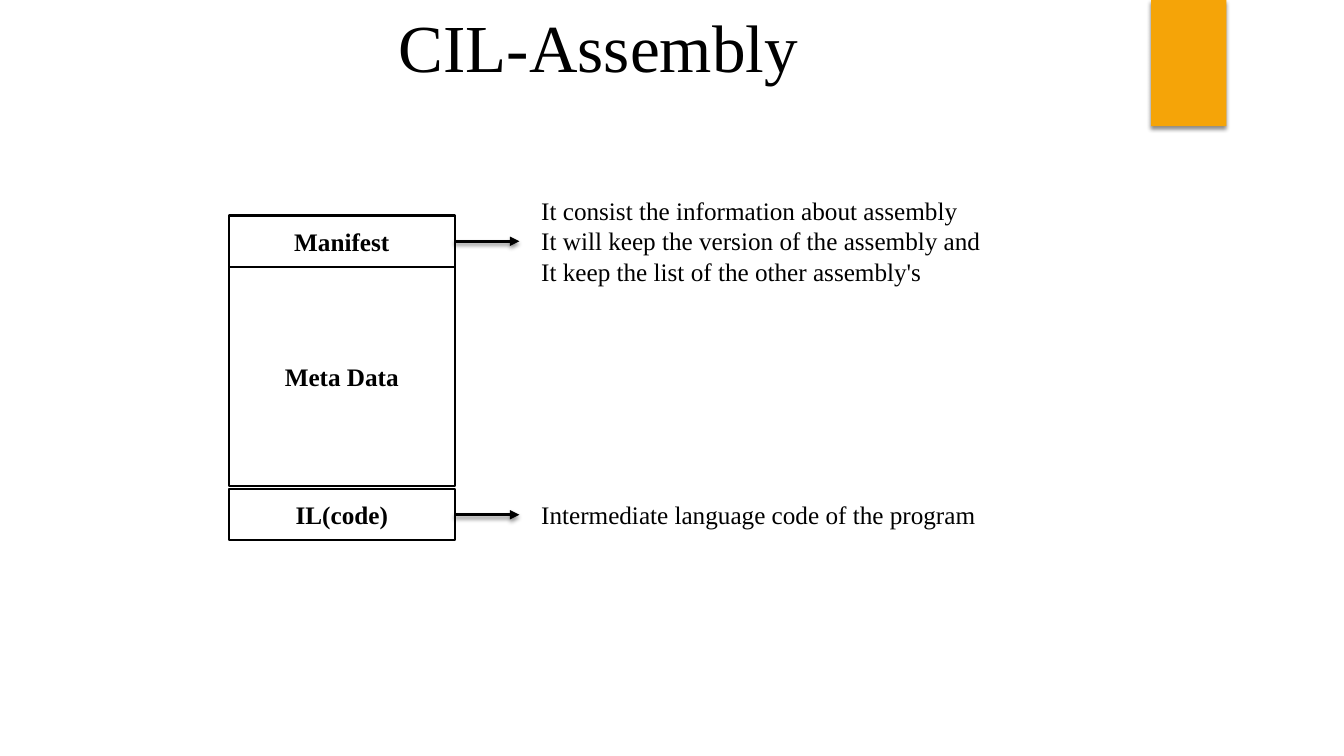
from dataclasses import dataclass

from lxml.etree import SubElement
from pptx import Presentation
from pptx.dml.color import RGBColor
from pptx.enum.shapes import MSO_CONNECTOR, MSO_SHAPE
from pptx.enum.text import MSO_ANCHOR, MSO_AUTO_SIZE, PP_ALIGN
from pptx.oxml.ns import qn
from pptx.util import Cm, Pt

COLORS = {"text": "000000", "line": "000000", "box": "FFFFFF", "accent": "F5A408"}
FONT = "Times New Roman"
BOX_LEFT, BOX_WIDTH = 5.77, 5.69
ARROW_LENGTH = 1.63
NOTE_LEFT = 13.39


@dataclass
class Section:
    label: str
    top: float
    height: float


@dataclass
class Note:
    section: str
    lines: list[str]
    top: float
    width: float
    height: float


# Assembly parts, from back to front
SECTIONS = [
    Section("Meta Data", 6.73, 5.51),
    Section("IL(code)", 12.32, 1.3),
    Section("Manifest", 5.43, 1.3),
]
NOTES = [
    Note("Manifest", ["It consist the information about assembly",
                      "It will keep the version of the assembly and",
                      "It keep the list of the other assembly's"], 4.8, 11.86, 2.57),
    Note("IL(code)", ["Intermediate language code of the program"], 12.45, 11.73, 1.02),
]


def color(name: str) -> RGBColor:
    return RGBColor.from_string(COLORS[name])


def place(sp, left: float, top: float, width: float, height: float) -> None:
    box = {"left": left, "top": top, "width": width, "height": height}
    for name, value in box.items():
        setattr(sp, name, Cm(value))


def write(tf, lines: list[str], align: PP_ALIGN, **font) -> None:
    font = {"name": FONT, "size": Pt(18), "bold": False} | font
    for i, line in enumerate(lines):
        p = tf.paragraphs[0] if i == 0 else tf.add_paragraph()
        p.alignment = align
        r = p.add_run()
        r.text = line
        for name, value in font.items():
            setattr(r.font, name, value)
        r.font.color.rgb = color("text")


def fit_text(tf) -> None:
    tf.word_wrap = False
    tf.auto_size = MSO_AUTO_SIZE.SHAPE_TO_FIT_TEXT


def add_shadow(sp) -> None:
    effects = SubElement(sp.element.spPr, qn("a:effectLst"))
    shadow = SubElement(effects, qn("a:outerShdw"), blurRad=str(Pt(3)),
                        dist=str(Pt(2)), dir="5400000", rotWithShape="0")
    shade = SubElement(shadow, qn("a:srgbClr"), val=COLORS["line"])
    SubElement(shade, qn("a:alpha"), val="45000")


def add_accent(slide) -> None:
    sp = slide.shapes.add_shape(MSO_SHAPE.RECTANGLE, Cm(29.01), 0, Cm(1.9), Cm(3.18))
    sp.fill.solid()
    sp.fill.fore_color.rgb = color("accent")
    sp.line.fill.background()
    add_shadow(sp)


def add_title(slide, text: str) -> None:
    sp = slide.shapes.title
    place(sp, 9.75, 0, 10.67, 2.31)
    fit_text(sp.text_frame)
    write(sp.text_frame, [text], PP_ALIGN.CENTER, size=Pt(48))


def add_section(slide, section: Section):
    sp = slide.shapes.add_shape(MSO_SHAPE.RECTANGLE, Cm(BOX_LEFT), Cm(section.top),
                                Cm(BOX_WIDTH), Cm(section.height))
    sp.shadow.inherit = False
    sp.fill.solid()
    sp.fill.fore_color.rgb = color("box")
    sp.line.color.rgb = color("line")
    sp.line.width = Pt(1.5)
    sp.text_frame.vertical_anchor = MSO_ANCHOR.MIDDLE
    write(sp.text_frame, [section.label], PP_ALIGN.CENTER, bold=True)
    return sp


def add_arrow(slide, box) -> None:
    x, y = box.left + box.width, box.top + box.height // 2
    cx = slide.shapes.add_connector(MSO_CONNECTOR.STRAIGHT, x, y, x + Cm(ARROW_LENGTH), y)
    cx.begin_connect(box, 3)
    cx.line.color.rgb = color("line")
    cx.line.width = Pt(2.25)
    SubElement(cx.element.spPr.find(qn("a:ln")), qn("a:tailEnd"), type="triangle")
    add_shadow(cx)


def add_note(slide, note: Note) -> None:
    sp = slide.shapes.add_textbox(Cm(NOTE_LEFT), Cm(note.top), Cm(note.width), Cm(note.height))
    fit_text(sp.text_frame)
    write(sp.text_frame, note.lines, PP_ALIGN.LEFT)


def main() -> None:
    prs = Presentation()
    prs.slide_width, prs.slide_height = Cm(33.87), Cm(19.05)
    slide = prs.slides.add_slide(prs.slide_layouts[5])

    # Accent bar and title
    add_accent(slide)
    add_title(slide, "CIL-Assembly")

    # Assembly stack with arrows to its notes
    boxes = {section.label: add_section(slide, section) for section in SECTIONS}
    for note in NOTES:
        add_arrow(slide, boxes[note.section])
        add_note(slide, note)

    prs.save("out.pptx")


if __name__ == "__main__":
    main()
